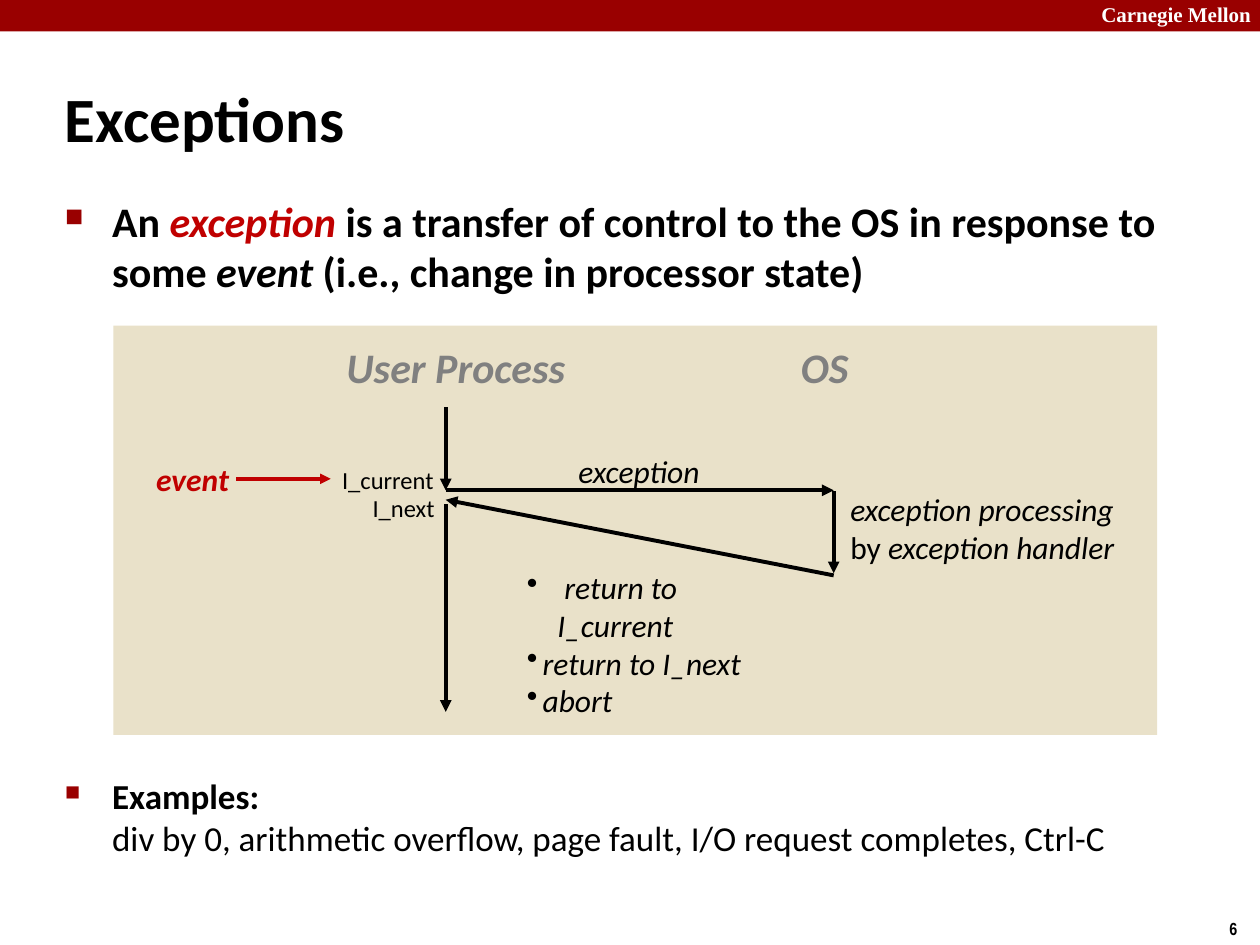
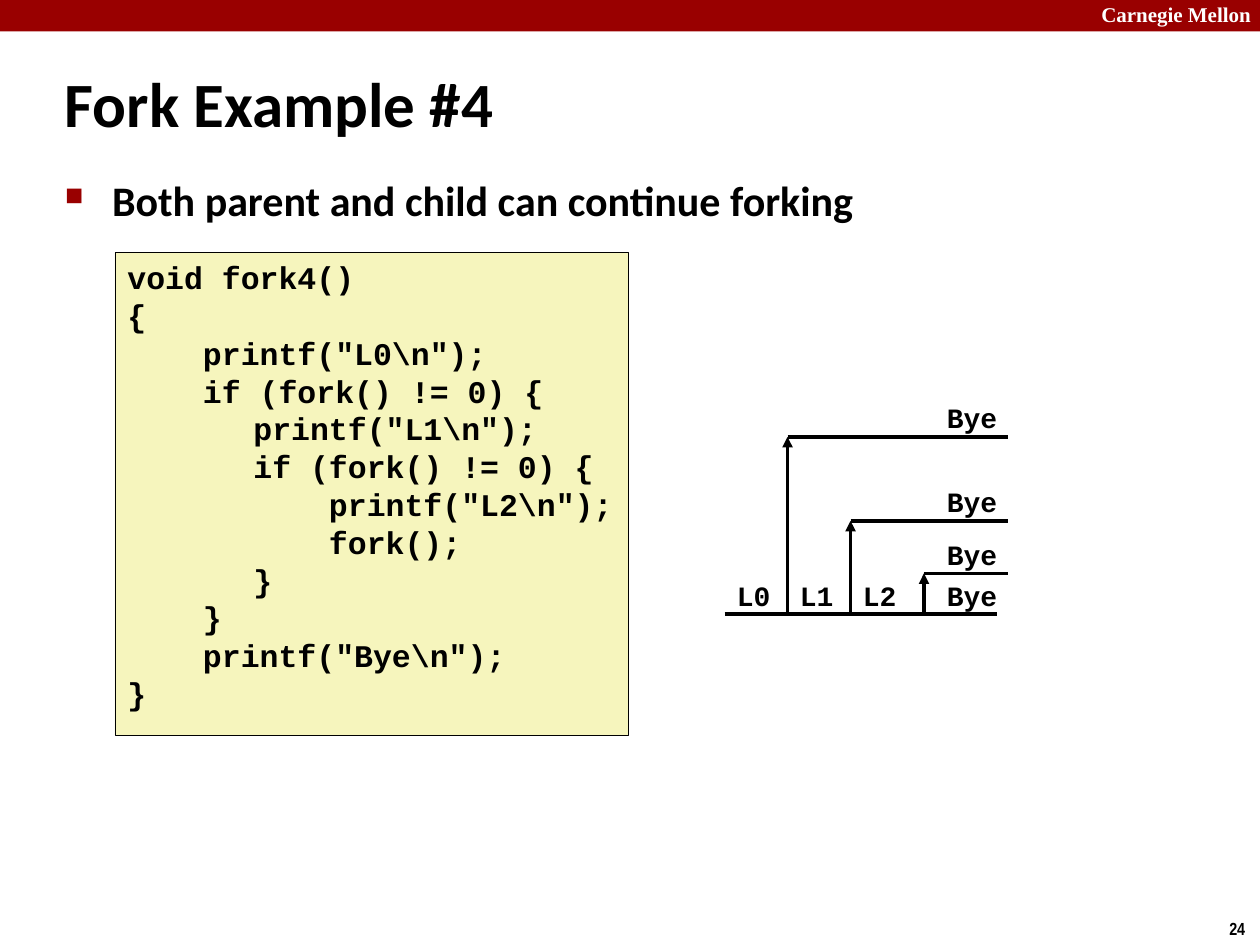
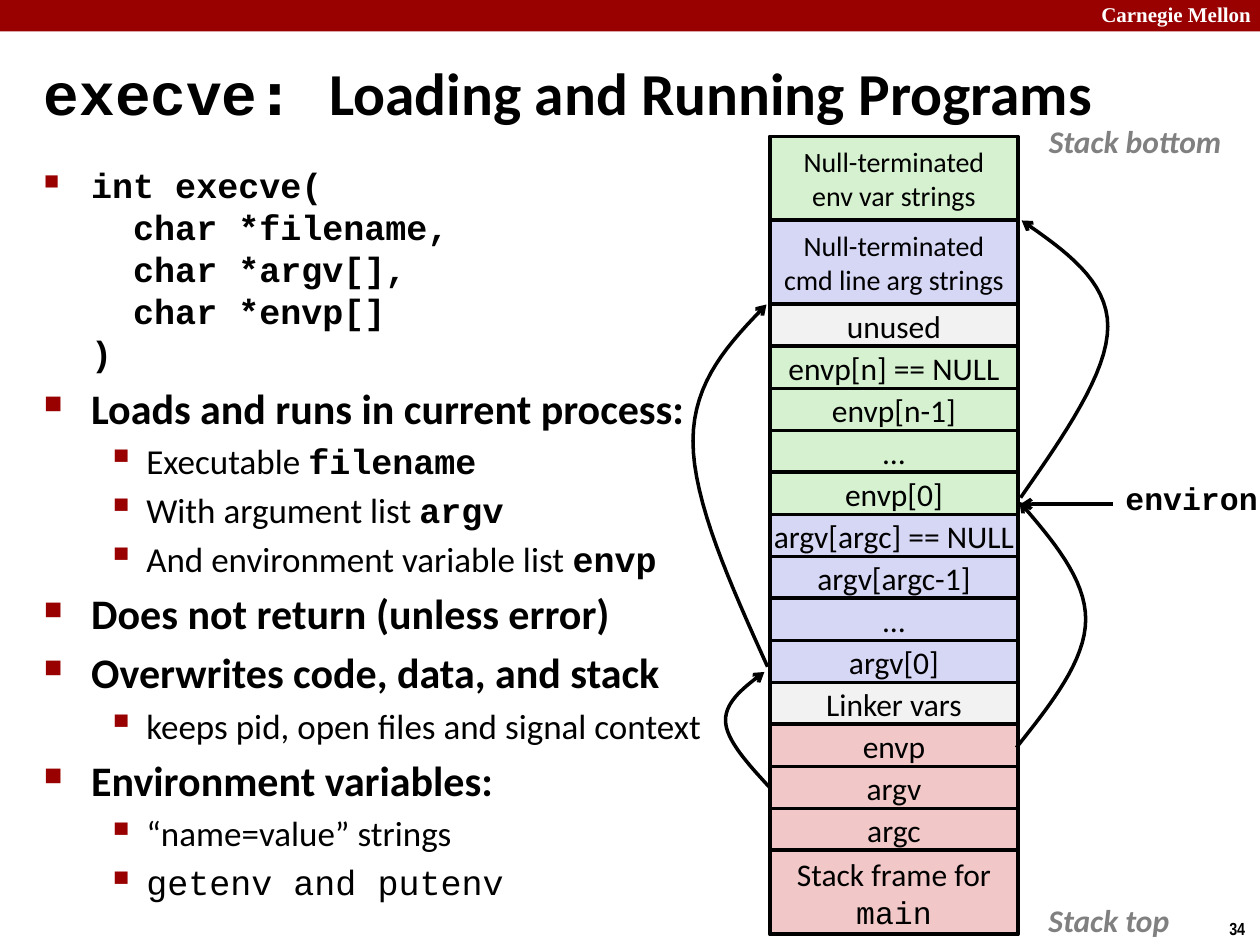
from dataclasses import dataclass, replace
from itertools import pairwise
from typing import Optional

from lxml.etree import SubElement
from pptx import Presentation
from pptx.dml.color import RGBColor
from pptx.enum.shapes import MSO_CONNECTOR, MSO_SHAPE
from pptx.enum.text import MSO_ANCHOR, MSO_AUTO_SIZE, PP_ALIGN
from pptx.oxml.ns import qn
from pptx.util import Inches, Pt

STRAIGHT = MSO_CONNECTOR.STRAIGHT
RECTANGLE = MSO_SHAPE.RECTANGLE
TOP, MIDDLE = MSO_ANCHOR.TOP, MSO_ANCHOR.MIDDLE
LEFT, CENTER = PP_ALIGN.LEFT, PP_ALIGN.CENTER
FIT_TEXT, FIXED = MSO_AUTO_SIZE.SHAPE_TO_FIT_TEXT, MSO_AUTO_SIZE.NONE

SLIDE_W, SLIDE_H = Inches(10), Inches(7.5)
COLUMN, ROW = SLIDE_W / 120, SLIDE_H / 90
CURVE_STEPS = 16

COLORS = {
    "black": "000000", "white": "FFFFFF", "band": "990000", "accent": "C00000",
    "muted": "808080", "panel": "E9E1C9", "code": "F6F5BD",
    "env": "D5F1CF", "arg": "D6D6F5", "plain": "F2F2F2", "frame": "F1C7C7",
}
SANS, MONO = "Calibri", "Courier New"


@dataclass(frozen=True)
class Style:
    size: float
    font: str = SANS
    color: str = "black"
    bold: bool = False
    italic: bool = False


@dataclass(frozen=True)
class Bullet:
    char: str
    left: float
    hang: float
    percent: int = 100
    color: str = "black"
    gap: float = 0
    level: int = 0


@dataclass(frozen=True)
class Span:
    text: str
    style: Style


@dataclass(frozen=True)
class Para:
    spans: tuple[Span, ...]
    bullet: Optional[Bullet] = None
    align: PP_ALIGN = LEFT
    tab: float = 0


@dataclass(frozen=True)
class Box:
    left: float
    top: float
    width: float
    height: float


@dataclass(frozen=True)
class Arrow:
    start: tuple[float, float]
    end: tuple[float, float]
    color: str = "black"
    weight: float = 2
    head: str = "triangle"


@dataclass(frozen=True)
class Bend:
    start: tuple[float, float]
    peak: tuple[float, float]
    end: tuple[float, float]


@dataclass(frozen=True)
class StackEntry:
    lines: tuple[Span, ...]
    fill: str
    slots: int = 1


TITLE = Style(36, bold=True)
HEADING = Style(24, bold=True)
DETAIL = Style(20)
CODE_WORD = Style(20, MONO, bold=True)
LABEL = Style(18)
LABEL_ITALIC = Style(18, italic=True)
SMALL = Style(14)
CODE = Style(18, MONO, bold=True)
TREE_LABEL = Style(16, MONO, bold=True)
MUTED = Style(24, color="muted", bold=True, italic=True)

MAIN_BULLET = Bullet("■", 4.5, 4.5, 60, "band", 0.2)
SUB_BULLET = Bullet("▪", 9.75, 3.75, 110, "band", 0.2, 1)
WIDE_DOT = Bullet("•", 2.9, 2.9)
DOT = Bullet("•", 1.5, 1.5)


def x(columns: float) -> int:
    return int(columns * COLUMN)


def y(rows: float) -> int:
    return int(rows * ROW)


def rgb(name: str) -> RGBColor:
    return RGBColor.from_string(COLORS[name])


def para(text: str, style: Style, bullet: Optional[Bullet] = None, **options) -> Para:
    return Para((Span(text, style),), bullet, **options)


def set_font(font, style: Style) -> None:
    font.name, font.size = style.font, Pt(style.size)
    font.bold, font.italic = style.bold, style.italic
    font.color.rgb = rgb(style.color)


def set_bullet(paragraph, bullet: Bullet) -> None:
    paragraph.level = bullet.level
    props = paragraph._p.get_or_add_pPr()
    props.set("marL", str(x(bullet.left)))
    props.set("indent", str(-x(bullet.hang)))
    color = SubElement(props, qn("a:buClr"))
    SubElement(color, qn("a:srgbClr"), val=COLORS[bullet.color])
    SubElement(props, qn("a:buSzPct"), val=str(bullet.percent * 1000))
    SubElement(props, qn("a:buChar"), char=bullet.char)


def write(frame, paras: list[Para]) -> None:
    for index, item in enumerate(paras):
        paragraph = frame.add_paragraph() if index else frame.paragraphs[0]
        paragraph.alignment = item.align
        if item.bullet:
            set_bullet(paragraph, item.bullet)
            if index and item.bullet.gap:
                paragraph.space_before = Pt(item.bullet.gap * item.spans[0].style.size)
        if item.tab:
            tabs = SubElement(paragraph._p.get_or_add_pPr(), qn("a:tabLst"))
            SubElement(tabs, qn("a:tab"), pos=str(x(item.tab)), algn="l")
        uniform = len(item.spans) == 1
        if uniform:
            set_font(paragraph.font, item.spans[0].style)
        for span in item.spans:
            for number, line in enumerate(span.text.split("\n")):
                if number:
                    paragraph.add_line_break()
                if line:
                    run = paragraph.add_run()
                    run.text = line
                    if not uniform:
                        set_font(run.font, span.style)


def add_text(slide, box: Box, paras: list[Para], wrap: bool = False,
             anchor: MSO_ANCHOR = TOP) -> None:
    text = slide.shapes.add_textbox(x(box.left), y(box.top), x(box.width), y(box.height))
    frame = text.text_frame
    frame.word_wrap, frame.vertical_anchor = wrap, anchor
    frame.auto_size = FIXED if wrap else FIT_TEXT
    write(frame, paras)


def add_block(slide, box: Box, fill: str, weight: float = 0,
              paras: Optional[list[Para]] = None, anchor: MSO_ANCHOR = TOP) -> None:
    block = slide.shapes.add_shape(RECTANGLE, x(box.left), y(box.top), x(box.width), y(box.height))
    block.shadow.inherit = False
    block.fill.solid()
    block.fill.fore_color.rgb = rgb(fill)
    if weight:
        block.line.color.rgb = rgb("black")
        block.line.width = Pt(weight)
    else:
        block.line.fill.background()
    if paras:
        block.text_frame.word_wrap = False
        block.text_frame.vertical_anchor = anchor
        write(block.text_frame, paras)


def style_line(shape, color: str, weight: float, head: str) -> None:
    shape.line.color.rgb = rgb(color)
    shape.line.width = Pt(weight)
    if head:
        SubElement(shape._element.spPr.find(qn("a:ln")), qn("a:tailEnd"), type=head)


def add_arrow(slide, arrow: Arrow) -> None:
    (x1, y1), (x2, y2) = arrow.start, arrow.end
    connector = slide.shapes.add_connector(STRAIGHT, x(x1), y(y1), x(x2), y(y2))
    style_line(connector, arrow.color, arrow.weight, arrow.head)
    SubElement(connector._element.spPr, qn("a:effectLst"))


def cubic(a: float, b: float, c: float, d: float, t: float) -> float:
    u = 1 - t
    return u**3 * a + 3 * u * u * t * b + 3 * u * t * t * c + t**3 * d


def bend_points(bend: Bend) -> list[tuple[int, int]]:
    peak_x, peak_y = bend.peak
    reach = (bend.start[1] - bend.end[1]) / 6
    before, after = (peak_x, peak_y + reach), (peak_x, peak_y - reach)

    def midway(a, b):
        return (a[0] + b[0]) / 2, (a[1] + b[1]) / 2

    halves = [
        (bend.start, midway(bend.start, before), before, bend.peak),
        (bend.peak, after, midway(after, bend.end), bend.end),
    ]
    return [
        (x(cubic(*(p[0] for p in half), step / CURVE_STEPS)),
         y(cubic(*(p[1] for p in half), step / CURVE_STEPS)))
        for half in halves for step in range(1, CURVE_STEPS + 1)
    ]


def add_bend(slide, bend: Bend) -> None:
    builder = slide.shapes.build_freeform(x(bend.start[0]), y(bend.start[1]))
    builder.add_line_segments(bend_points(bend), close=False)
    curve = builder.convert_to_shape()
    curve.shadow.inherit = False
    curve.fill.background()
    style_line(curve, "black", 2, "arrow")


def start_slide(deck, number: int, title: Para, box: Box, anchor: MSO_ANCHOR = MIDDLE):
    slide = deck.slides.add_slide(deck.slide_layouts[6])
    add_block(slide, Box(0, 0, 120, 3), "band")
    school = Style(12, "Times New Roman", "white", bold=True)
    add_text(slide, Box(103.7, -0.4, 17.2, 3.6), [para("Carnegie Mellon", school)], wrap=True)
    page = Style(10, "Arial Narrow", bold=True)
    add_text(slide, Box(115.9, 86.8, 4.1, 3.2), [para(str(number), page)])
    add_text(slide, box, [title], wrap=True, anchor=anchor)
    return slide


def build_exceptions(deck) -> None:
    slide = start_slide(deck, 6, para("Exceptions", TITLE), Box(5, 7, 44, 7.5), TOP)
    add_block(slide, Box(10.8, 31, 99.4, 39), "panel")
    emphasis = replace(HEADING, italic=True)
    definition = Para((
        Span("An ", HEADING),
        Span("exception", replace(emphasis, color="accent")),
        Span(" is a transfer of control to the OS in response to some ", HEADING),
        Span("event", emphasis),
        Span(" (i.e., change in processor state)", HEADING),
    ), MAIN_BULLET)
    examples = Para((
        Span("Examples:\n", replace(DETAIL, bold=True)),
        Span("div by 0, arithmetic overflow, page fault, I/O request completes, Ctrl-C", DETAIL),
    ), MAIN_BULLET)
    add_text(slide, Box(5, 18, 114, 11), [definition], wrap=True)
    add_text(slide, Box(5, 73.2, 114, 10), [examples], wrap=True)

    for text, style, box in [
        ("User Process", MUTED, Box(31.8, 31.9, 23.6, 6)),
        ("OS", MUTED, Box(75.1, 31.9, 7.1, 6)),
        ("exception", LABEL_ITALIC, Box(53.9, 42.5, 14, 4.8)),
        ("event", Style(18, color="accent", bold=True, italic=True), Box(13.7, 43.2, 10.6, 4.8)),
        ("I_current", SMALL, Box(31.4, 43.7, 11.4, 4.1)),
        ("I_next", SMALL, Box(34.3, 46.4, 8.5, 4.1)),
    ]:
        add_text(slide, box, [para(text, style)])
    handler = Para((Span("by ", LABEL), Span("exception handler", LABEL_ITALIC)))
    add_text(slide, Box(79.8, 46.1, 28.2, 12.1),
             [para("exception processing", LABEL_ITALIC), handler], wrap=True)
    add_text(slide, Box(49, 53.5, 24, 15), [
        para(" return to I_current", LABEL_ITALIC, WIDE_DOT),
        para("return to I_next", LABEL_ITALIC, DOT),
        para("abort", LABEL_ITALIC, DOT),
    ], wrap=True)

    process, system = 42.45, 79.4
    for start, end in [
        ((process, 38.8), (process, 46.7)),
        ((process, 46.7), (system, 46.7)),
        ((system, 46.8), (system, 54.6)),
        ((system, 54.8), (process, 47.6)),
        ((process, 48), (process, 67.8)),
    ]:
        add_arrow(slide, Arrow(start, end, weight=2.25))
    add_arrow(slide, Arrow((22.5, 45.6), (31.5, 45.6), "accent"))


FORK_CODE = r"""void fork4()
{
    printf("L0\n");
    if (fork() != 0) {
	printf("L1\n");
	if (fork() != 0) {
	    printf("L2\n");
	    fork();
	}
    }
    printf("Bye\n");
}"""


def build_fork(deck) -> None:
    slide = start_slide(deck, 24, para("Fork Example #4", TITLE), Box(5, 6, 66.8, 7.5))
    add_text(slide, Box(5, 16, 103.7, 10),
             [para("Both parent and child can continue forking", HEADING, MAIN_BULLET)], wrap=True)
    add_block(slide, Box(10.95, 24, 48.9, 46), "code", 0.25,
              [para(line, CODE, tab=12) for line in FORK_CODE.split("\n")])

    base, child_end, label_rise = 58.5, 96, 4
    forks = {75: 41.6, 81: 49.6, 88: 54.6}
    for left, right in pairwise([69, *forks, 95]):
        add_arrow(slide, Arrow((left, base), (right, base), head=""))
    for fork, child in forks.items():
        add_arrow(slide, Arrow((fork, base), (fork, child)))
        add_arrow(slide, Arrow((fork, child), (child_end, child), head=""))
    for index, left in enumerate((69, 75, 81)):
        add_text(slide, Box(left, base - label_rise, 5.6, 4.4), [para(f"L{index}", TREE_LABEL)])
    for level in (*forks.values(), base):
        add_text(slide, Box(89, level - label_rise, 7.2, 4.4), [para("Bye", TREE_LABEL)])


def entry(text: str, fill: str) -> StackEntry:
    return StackEntry((Span(text, LABEL),), fill)


def tall_entry(first: str, second: str, fill: str, style: Style, last: Style) -> StackEntry:
    return StackEntry((Span(first, style), Span(second, last)), fill, 2)


STRINGS = Style(16)
STACK = [
    tall_entry("Null-terminated", "env var strings", "env", STRINGS, STRINGS),
    tall_entry("Null-terminated", "cmd line arg strings", "arg", STRINGS, STRINGS),
    entry("unused", "plain"),
    *(entry(text, "env") for text in ("envp[n] == NULL", "envp[n-1]", "…", "envp[0]")),
    *(entry(text, "arg") for text in ("argv[argc] == NULL", "argv[argc-1]", "…", "argv[0]")),
    entry("Linker vars", "plain"),
    *(entry(text, "frame") for text in ("envp", "argv", "argc")),
    tall_entry("Stack frame for", "main", "frame", LABEL, Style(18, MONO)),
]


def build_execve(deck) -> None:
    title = Para((
        Span("execve", Style(34, MONO, bold=True)),
        Span(": ", Style(34, "DejaVu Sans Mono", bold=True)),
        Span("Loading and Running Programs", Style(34, bold=True)),
    ))
    slide = start_slide(deck, 34, title, Box(3, 5, 113, 7.5))

    def main(text: str) -> Para:
        return para(text, HEADING, MAIN_BULLET)

    def with_code(text: str, code: str) -> Para:
        return Para((Span(text, DETAIL), Span(code, CODE_WORD)), SUB_BULLET)

    signature = "int execve(\n  char *filename,\n  char *argv[],\n  char *envp[]\n)"
    add_text(slide, Box(3, 15, 70, 71), [
        para(signature, CODE_WORD, MAIN_BULLET),
        main("Loads and runs in current process:"),
        with_code("Executable ", "filename"),
        with_code("With argument list ", "argv"),
        with_code("And environment variable list ", "envp"),
        main("Does not return (unless error)"),
        main("Overwrites code, data, and stack"),
        para("keeps pid, open files and signal context", DETAIL, SUB_BULLET),
        main("Environment variables:"),
        para("“name=value” strings", DETAIL, SUB_BULLET),
        para("getenv and putenv", Style(20, MONO), SUB_BULLET),
    ], wrap=True)

    top, slot_height = 13, 4
    for item in STACK:
        height = item.slots * slot_height
        add_block(slide, Box(73.33, top, 23.62, height), item.fill, 2.25,
                  [Para((line,), align=CENTER) for line in item.lines], MIDDLE)
        top += height

    for bend in [
        Bend((73.3, 75), (69.1, 68.6), (72.8, 64)),
        Bend((73.1, 63.5), (66, 42), (73, 29)),
        Bend((96.8, 71.2), (103.4, 59), (97.1, 47.8)),
        Bend((97.2, 47.4), (105.5, 31.1), (97.3, 21)),
    ]:
        add_bend(slide, bend)
    edge = replace(MUTED, size=18)
    add_text(slide, Box(98.2, 11, 19.8, 4.8), [para("Stack bottom", edge, align=CENTER)])
    add_text(slide, Box(98.2, 85.2, 14.8, 4.8), [para("Stack top", edge, align=CENTER)])
    add_text(slide, Box(106, 45, 15.1, 4.8), [para("environ", CODE)])
    add_arrow(slide, Arrow((106, 48), (97.2, 48), head="arrow"))


def main() -> None:
    deck = Presentation()
    deck.slide_width, deck.slide_height = SLIDE_W, SLIDE_H
    build_exceptions(deck)
    build_fork(deck)
    build_execve(deck)
    deck.save("out.pptx")


if __name__ == "__main__":
    main()
